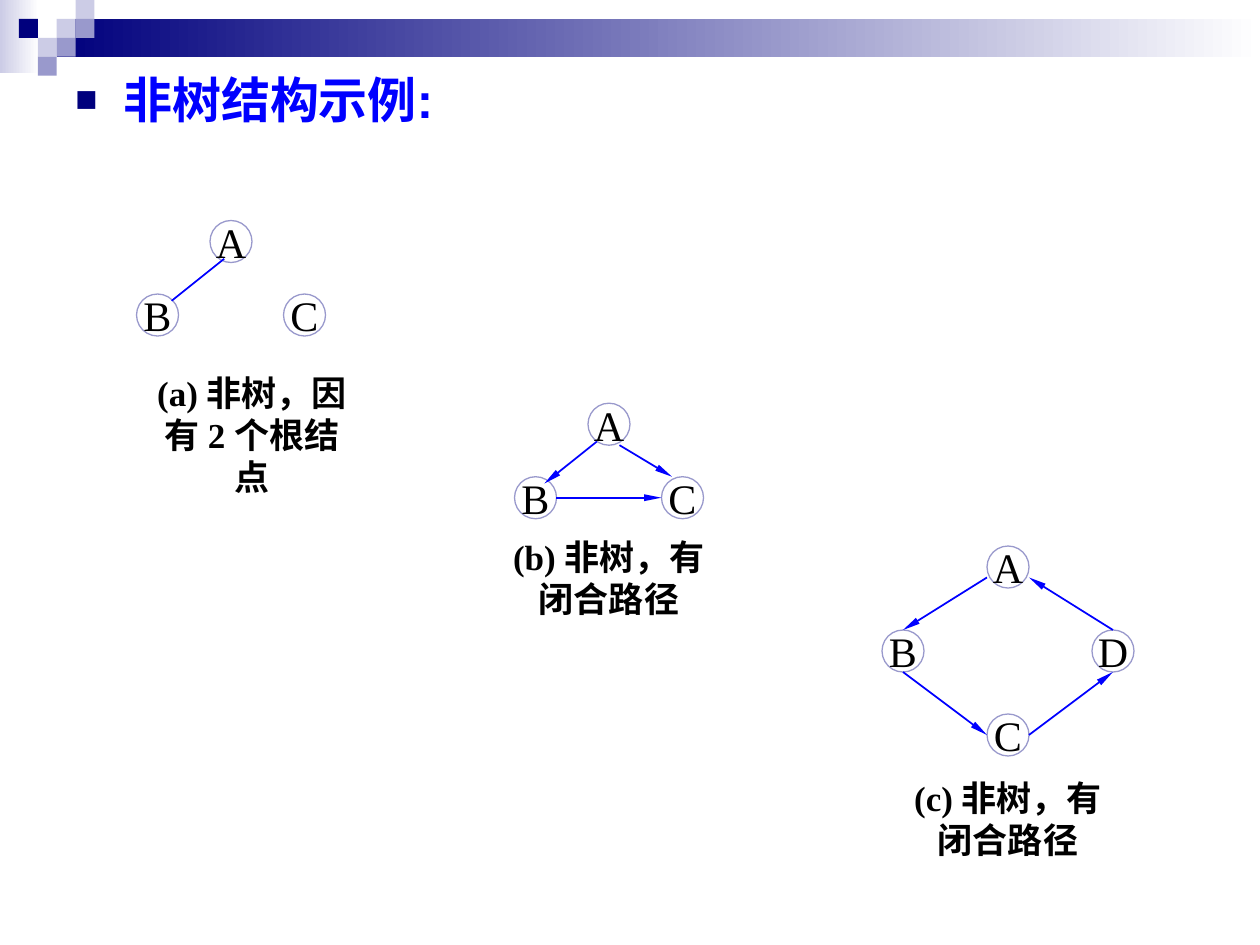
from lxml.etree import SubElement
from pptx import Presentation
from pptx.dml.color import RGBColor
from pptx.enum.shapes import MSO_CONNECTOR as LINE, MSO_SHAPE as SHAPE
from pptx.enum.text import MSO_ANCHOR as ANCHOR, PP_ALIGN as ALIGN
from pptx.oxml.ns import qn
from pptx.util import Inches, Pt

NAVY = RGBColor(0x00, 0x00, 0x7D)
LILAC = RGBColor(0x99, 0x99, 0xCC)
PALE = RGBColor(0xCC, 0xCC, 0xE6)
BLUE = RGBColor(0x00, 0x00, 0xFF)
WHITE = RGBColor(0xFF, 0xFF, 0xFF)
BLACK = RGBColor(0x00, 0x00, 0x00)

UNIT = Inches(1) / 12
TILE = Inches(0.15)
NODE = 4

TITLE_FORMAT = {"name": "Arial", "size": Pt(28), "bold": True}
NODE_FORMAT = {"name": "Times New Roman", "size": Pt(24)}
CAPTION_FORMAT = {"name": "Times New Roman", "size": Pt(20), "bold": True}

TILES = [
    (3, 1, PALE), (4, 0, PALE), (4, 1, LILAC), (2, 2, PALE),
    (1, 1, NAVY), (3, 2, LILAC), (2, 3, LILAC),
]

FIGURES = [
    {
        "origin": (13, 21),
        "nodes": {"A": (7, 0), "C": (14, 7), "B": (0, 7)},
        "edges": [(8.35, 3.65, 3.35, 7.65)],
        "directed": False,
        "caption": ("(a) 非树，因有 2 个根结点", 0, 13.8, 13.2),
    },
    {
        "origin": (49, 38.4),
        "nodes": {"A": (7, 0), "C": (14, 7), "B": (0, 7)},
        "edges": [(7.85, 3.65, 2.85, 7.65), (4, 9, 14, 9), (10, 4, 15, 7)],
        "directed": True,
        "caption": ("(b) 非树，有闭合路径", -2, 12, 9.2),
    },
    {
        "origin": (84, 52),
        "nodes": {"A": (10, 0), "D": (20, 8), "B": (0, 8), "C": (10, 16)},
        "edges": [(10, 3, 2, 8), (2, 12, 10, 18), (14, 18, 22, 12), (22, 8, 14, 3)],
        "directed": True,
        "caption": ("(c) 非树，有闭合路径", 1, 21.33, 9.2),
    },
]


def grid(*cells):
    return [round(cell * UNIT) for cell in cells]


def write(paragraph, text, color, font_format):
    paragraph.text = text
    font = paragraph.runs[0].font
    for attribute, value in font_format.items():
        setattr(font, attribute, value)
    font.color.rgb = color


def add_block(slide, kind, box, color=None):
    block = slide.shapes.add_shape(kind, *box)
    block.shadow.inherit = False
    block.line.fill.background()
    if color is not None:
        block.fill.solid()
        block.fill.fore_color.rgb = color
    return block


def add_fade(slide, box, color):
    fill = add_block(slide, SHAPE.RECTANGLE, box).fill
    fill.gradient()
    fill.gradient_angle = 0
    for stop, shade, position in zip(fill.gradient_stops, (color, WHITE), (0, 1)):
        stop.color.rgb = shade
        stop.position = position


def add_banner(slide, width):
    add_fade(slide, (0, 0, Inches(0.31), Inches(0.58)), PALE)
    add_fade(slide, (3 * TILE, TILE, width - 3 * TILE, 2 * TILE), NAVY)
    for column, row, color in TILES:
        add_block(slide, SHAPE.RECTANGLE, (column * TILE, row * TILE, TILE, TILE), color)


def add_title(slide, text, width, height):
    margin = round(width * 0.05)
    frame = slide.shapes.add_textbox(margin, margin, width - 2 * margin, height - margin).text_frame
    frame.word_wrap = True
    heading = frame.paragraphs[0]
    properties = heading._p.get_or_add_pPr()
    properties.set("marL", str(Inches(0.38)))
    properties.set("indent", str(-Inches(0.38)))
    bullet_color = SubElement(properties, qn("a:buClr"))
    SubElement(bullet_color, qn("a:srgbClr"), val=str(NAVY))
    SubElement(properties, qn("a:buSzPct"), val="75000")
    SubElement(properties, qn("a:buFont"), typeface="Arial")
    SubElement(properties, qn("a:buChar"), char="■")
    write(heading, text, BLUE, TITLE_FORMAT)


def add_node(slide, label, left, top):
    node = add_block(slide, SHAPE.OVAL, grid(left, top, NODE, NODE), WHITE)
    node.line.color.rgb = LILAC
    node.line.width = Pt(0.75)
    frame = node.text_frame
    frame.word_wrap = False
    frame.vertical_anchor = ANCHOR.MIDDLE
    frame.paragraphs[0].alignment = ALIGN.CENTER
    write(frame.paragraphs[0], label, BLACK, NODE_FORMAT)


def add_edge(slide, ends, directed):
    edge = slide.shapes.add_connector(LINE.STRAIGHT, *grid(*ends))
    edge.line.color.rgb = BLUE
    edge.line.width = Pt(1)
    if directed:
        SubElement(edge.line._get_or_add_ln(), qn("a:tailEnd"), type="triangle", w="sm", len="lg")
    SubElement(edge._element.spPr, qn("a:effectLst"))


def add_caption(slide, text, left, top, height):
    frame = slide.shapes.add_textbox(*grid(left, top, 22, height)).text_frame
    frame.word_wrap = True
    frame.paragraphs[0].alignment = ALIGN.CENTER
    write(frame.paragraphs[0], text, BLACK, CAPTION_FORMAT)


def add_figure(slide, figure):
    x, y = figure["origin"]
    for label, (left, top) in figure["nodes"].items():
        add_node(slide, label, x + left, y + top)
    for x1, y1, x2, y2 in figure["edges"]:
        add_edge(slide, (x + x1, y + y1, x + x2, y + y2), figure["directed"])
    text, left, top, height = figure["caption"]
    add_caption(slide, text, x + left, y + top, height)


def main():
    deck = Presentation()
    deck.slide_width, deck.slide_height = Inches(10), Inches(7.5)
    slide = deck.slides.add_slide(deck.slide_layouts[6])
    add_banner(slide, deck.slide_width)
    add_title(slide, "非树结构示例:", deck.slide_width, deck.slide_height)
    for figure in FIGURES:
        add_figure(slide, figure)
    deck.save("out.pptx")


if __name__ == "__main__":
    main()
